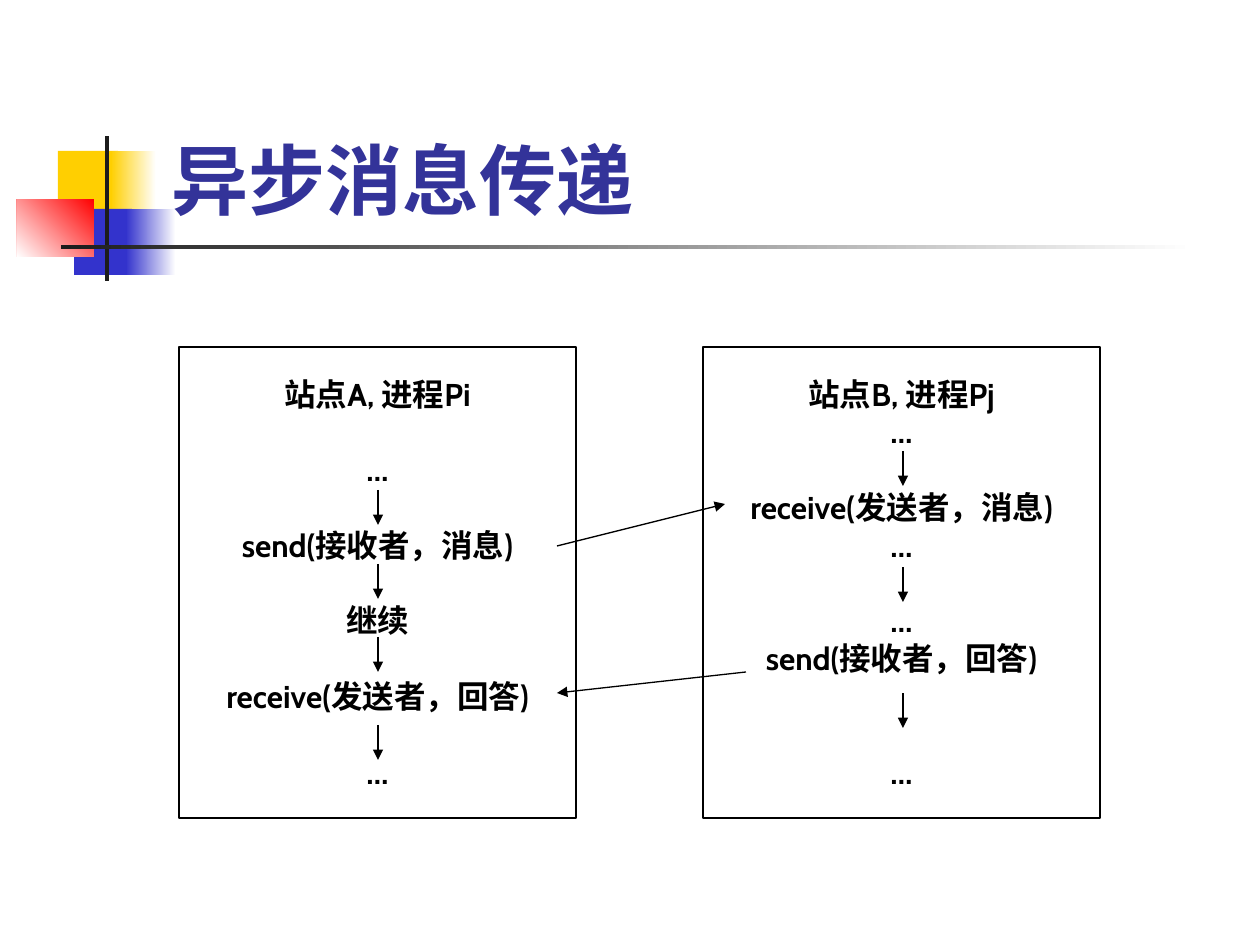
from pptx import Presentation, util as u
from pptx.dml.color import RGBColor
from pptx.enum import shapes, text
from pptx.oxml import ns
from lxml import etree

PX = 914400 / 126
WHITE = RGBColor(0xFF, 0xFF, 0xFF)
BLACK = RGBColor(0, 0, 0)
YELLOW = RGBColor(0xFF, 0xCF, 0x01)
BLUE = RGBColor(0x33, 0x33, 0xCC)
RED = RGBColor(0xFF, 0, 0)
DARK = RGBColor(0x1C, 0x1C, 0x1C)
NAVY = RGBColor(0x33, 0x33, 0x99)


def emu(*pixels):
    return [round(p * PX) for p in pixels]


def write(paragraph, words, size, color):
    run = paragraph.add_run()
    run.text = words
    for key, value in {"name": "Cabin", "size": u.Pt(size), "bold": True}.items():
        setattr(run.font, key, value)
    run.font.color.rgb = color


deck = Presentation()
deck.slide_width, deck.slide_height = emu(1260, 945)
slide = deck.slides.add_slide(deck.slide_layouts[6])

ornaments = [
    ((58, 151, 60, 66), [YELLOW], 0),
    ((111, 151, 45, 66), [WHITE, YELLOW], 180),
    ((74, 209, 58, 66), [BLUE], 0),
    ((126, 209, 50, 66), [WHITE, BLUE], 180),
    ((17, 199, 77, 58), [RED, WHITE], 225),
    ((105, 136, 4, 145), [DARK], 0),
    ((61, 245, 1134, 4), [WHITE, DARK], 180),
]
for place, colors, angle in ornaments:
    ornament = slide.shapes.add_shape(shapes.MSO_SHAPE.RECTANGLE, *emu(*place))
    ornament.shadow.inherit = False
    ornament.line.fill.background()
    if len(colors) == 1:
        ornament.fill.solid()
        ornament.fill.fore_color.rgb = colors[0]
    else:
        ornament.fill.gradient()
        ornament.fill.gradient_angle = angle
        for stop, color in zip(ornament.fill.gradient_stops, colors):
            stop.color.rgb = color

title = slide.shapes.add_textbox(*emu(159, 29, 1074, 202)).text_frame
title.word_wrap = True
title.vertical_anchor = text.MSO_ANCHOR.BOTTOM
write(title.paragraphs[0], "异步消息传递", 44, NAVY)

LINE = 21.6
sites = [
    (179, [("站点A, 进程Pi", 0), ("…", 1), ("send(接收者，消息)", 1),
           ("继续", 1), ("receive(发送者，回答)", 1), ("…", 1)]),
    (703, [("站点B, 进程Pj", 0), ("…", 0), ("receive(发送者，消息)", 1),
           ("…", 0), ("…", 1), ("send(接收者，回答)", 0), ("…", 2)]),
]
for left, steps in sites:
    site = slide.shapes.add_shape(shapes.MSO_SHAPE.RECTANGLE, *emu(left, 347, 397, 471))
    site.shadow.inherit = False
    site.fill.background()
    site.line.color.rgb = BLACK
    site.line.width = u.Pt(0.74)
    frame = site.text_frame
    frame.word_wrap = False
    frame.vertical_anchor = text.MSO_ANCHOR.MIDDLE
    for index, (words, gap) in enumerate(steps):
        step = frame.add_paragraph() if index else frame.paragraphs[0]
        step.alignment = text.PP_ALIGN.CENTER
        step.space_before = u.Pt(gap * LINE)
        write(step, words, 18, BLACK)

flows = [(x, top, x, top + 35)
         for x, tops in ((378, (490, 564, 637, 725)), (903, (451, 567, 693)))
         for top in tops]
messages = [(557, 546, 725, 504), (746, 672, 557, 693)]
for ends in flows + messages:
    arrow = slide.shapes.add_connector(shapes.MSO_CONNECTOR.STRAIGHT, *emu(*ends))
    arrow.line.color.rgb = BLACK
    arrow.line.width = u.Pt(0.74)
    outline = arrow.line._get_or_add_ln()
    etree.SubElement(outline, ns.qn("a:tailEnd"), type="triangle")
    etree.SubElement(outline.getparent(), ns.qn("a:effectLst"))

deck.save("out.pptx")
